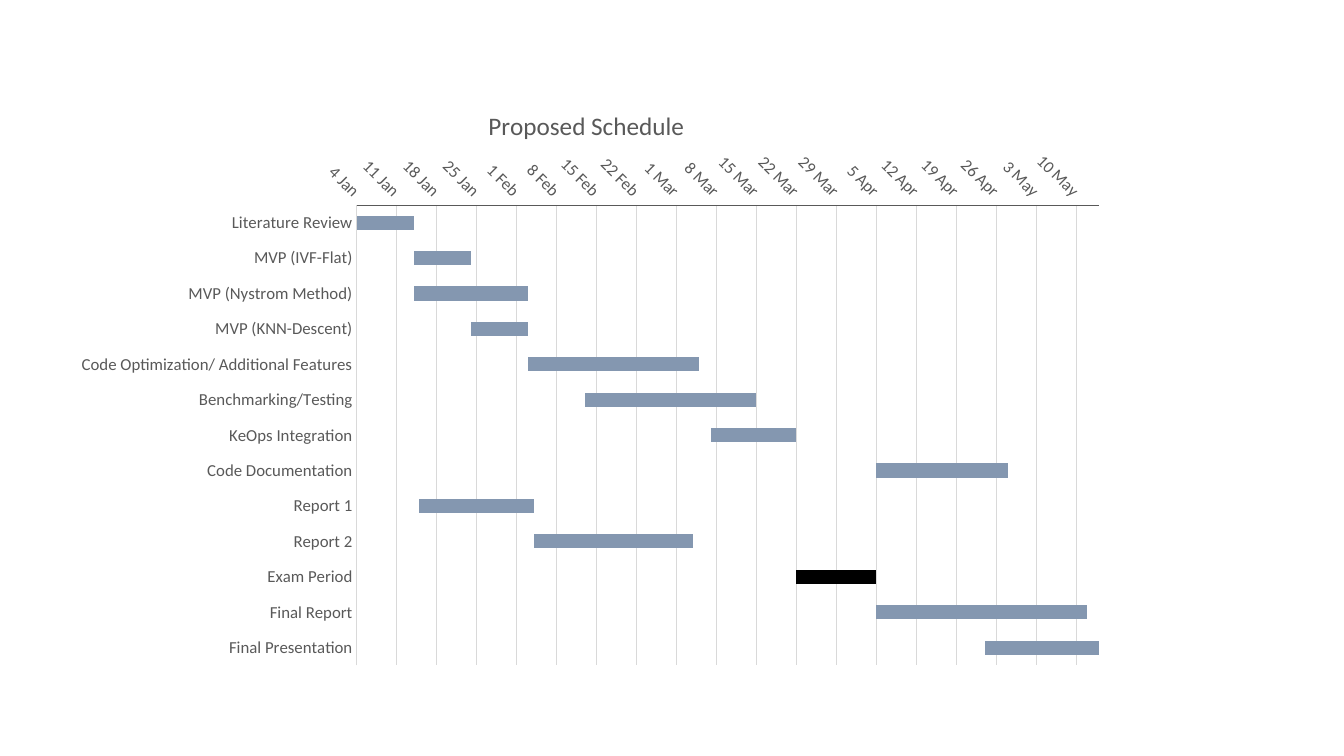
import pptx
import pptx.util
import pptx.chart.data
import pptx.dml.color
import pptx.enum.chart
import pptx.oxml
import pptx.oxml.ns
from dataclasses import dataclass

Pt = pptx.util.Pt
enum = pptx.enum.chart


@dataclass
class Theme:
    face: str = "Calibri"
    ink: str = "595959"
    grid: str = "D9D9D9"
    bar: str = "8497B0"
    exam: str = "000000"
    head: int = 18
    label: int = 12
    rule: float = 0.75


# Each task: name, first day as a date serial, length in days
START, END, WEEK = 44200, 44330, 7
EXAM = "Exam Period"
TASKS = [
    ("Literature Review", 44200, 10),
    ("MVP (IVF-Flat)", 44210, 10),
    ("MVP (Nystrom Method)", 44210, 20),
    ("MVP (KNN-Descent)", 44220, 10),
    ("Code Optimization/ Additional Features", 44230, 30),
    ("Benchmarking/Testing", 44240, 30),
    ("KeOps Integration", 44262, 15),
    ("Code Documentation", 44291, 23),
    ("Report 1", 44211, 20),
    ("Report 2", 44231, 28),
    (EXAM, 44277, 14),
    ("Final Report", 44291, 37),
    ("Final Presentation", 44310, 20),
]


class Deck:
    def __init__(self, theme):
        self.theme = theme
        self.show = pptx.Presentation()
        self.show.slide_width = pptx.util.Inches(13.33)
        self.show.slide_height = pptx.util.Inches(7.5)
        self.slide = self.show.slides.add_slide(self.show.slide_layouts[6])

    def box(self, left, top, width, height):
        """Turn percentages of the slide into lengths."""
        wide, high = self.show.slide_width, self.show.slide_height
        return [int(part * side / 100) for part, side in
                zip((left, top, width, height), (wide, high, wide, high))]

    def color(self, code):
        return pptx.dml.color.RGBColor.from_string(code)

    def font(self, font, size):
        font.name = self.theme.face
        font.size = Pt(size)
        font.bold = False
        font.color.rgb = self.color(self.theme.ink)

    def line(self, line, code):
        line.color.rgb = self.color(code)
        line.width = Pt(self.theme.rule)

    def paint(self, mark, code):
        mark.format.fill.solid()
        mark.format.fill.fore_color.rgb = self.color(code)

    def place(self, node, index, inner=False, **shares):
        """Fix a chart part at shares of the chart's size."""
        for old in node.findall(pptx.oxml.ns.qn("c:layout")):
            node.remove(old)
        rows = '<c:layoutTarget val="inner"/>' if inner else ""
        rows += "".join(f'<c:{key}Mode val="edge"/>' for key in "xy")
        rows += "".join(f'<c:{key} val="{val}"/>' for key, val in shares.items())
        node.insert(index, pptx.oxml.parse_xml(
            f'<c:layout {pptx.oxml.ns.nsdecls("c")}>'
            f'<c:manualLayout>{rows}</c:manualLayout></c:layout>'))

    def axis(self, axis, code):
        axis.major_tick_mark = axis.minor_tick_mark = enum.XL_TICK_MARK.NONE
        self.font(axis.tick_labels.font, self.theme.label)
        self.line(axis.format.line, code)

    def title(self, chart, text):
        chart.has_title = True
        frame = chart.chart_title.text_frame
        frame.text = text
        self.font(frame.paragraphs[0].font, self.theme.head)
        chart.chart_title.include_in_layout = False
        self.place(chart._chartSpace.xpath("c:chart/c:title")[0], 1,
                   x=0.4, y=0.04)

    def gantt(self, text, tasks, box):
        names, days, spans = zip(*tasks)
        data = pptx.chart.data.CategoryChartData()
        data.categories = names
        data.add_series("Series 1", days)
        data.add_series("Series 2", spans)
        chart = self.slide.shapes.add_chart(
            enum.XL_CHART_TYPE.BAR_STACKED, *self.box(*box), data).chart
        chart.has_legend = False
        self.font(chart.font, self.theme.label)
        self.title(chart, text)
        self.place(chart._chartSpace.xpath("c:chart/c:plotArea")[0], 0,
                   inner=True, x=0.28, y=0.21, w=0.7, h=0.77)

        # Bars: a clear offset, then the visible span
        plot = chart.plots[0]
        plot.gap_width, plot.overlap = 150, 100
        plot.vary_by_categories = False
        shift, span = plot.series
        shift.format.fill.background()
        self.paint(span, self.theme.bar)
        self.paint(span.points[names.index(EXAM)], self.theme.exam)

        # Tasks run downwards
        self.axis(chart.category_axis, self.theme.grid)
        chart.category_axis.reverse_order = True

        # Weekly dates along the top
        dates = chart.value_axis
        self.axis(dates, self.theme.ink)
        dates.minimum_scale, dates.maximum_scale = START, END
        dates.major_unit = WEEK
        dates.has_major_gridlines = True
        self.line(dates.major_gridlines.format.line, self.theme.grid)
        dates.tick_labels.number_format = "d\\ mmm"
        dates.tick_labels.number_format_is_linked = False
        turn = dates._element.xpath("c:txPr/a:bodyPr")[0]
        turn.set("rot", "2700000")
        turn.set("vert", "horz")


def main():
    deck = Deck(Theme())
    deck.gantt("Proposed Schedule", TASKS, (4.43, 10.53, 78.92, 79.07))
    deck.show.save("out.pptx")


if __name__ == "__main__":
    main()
